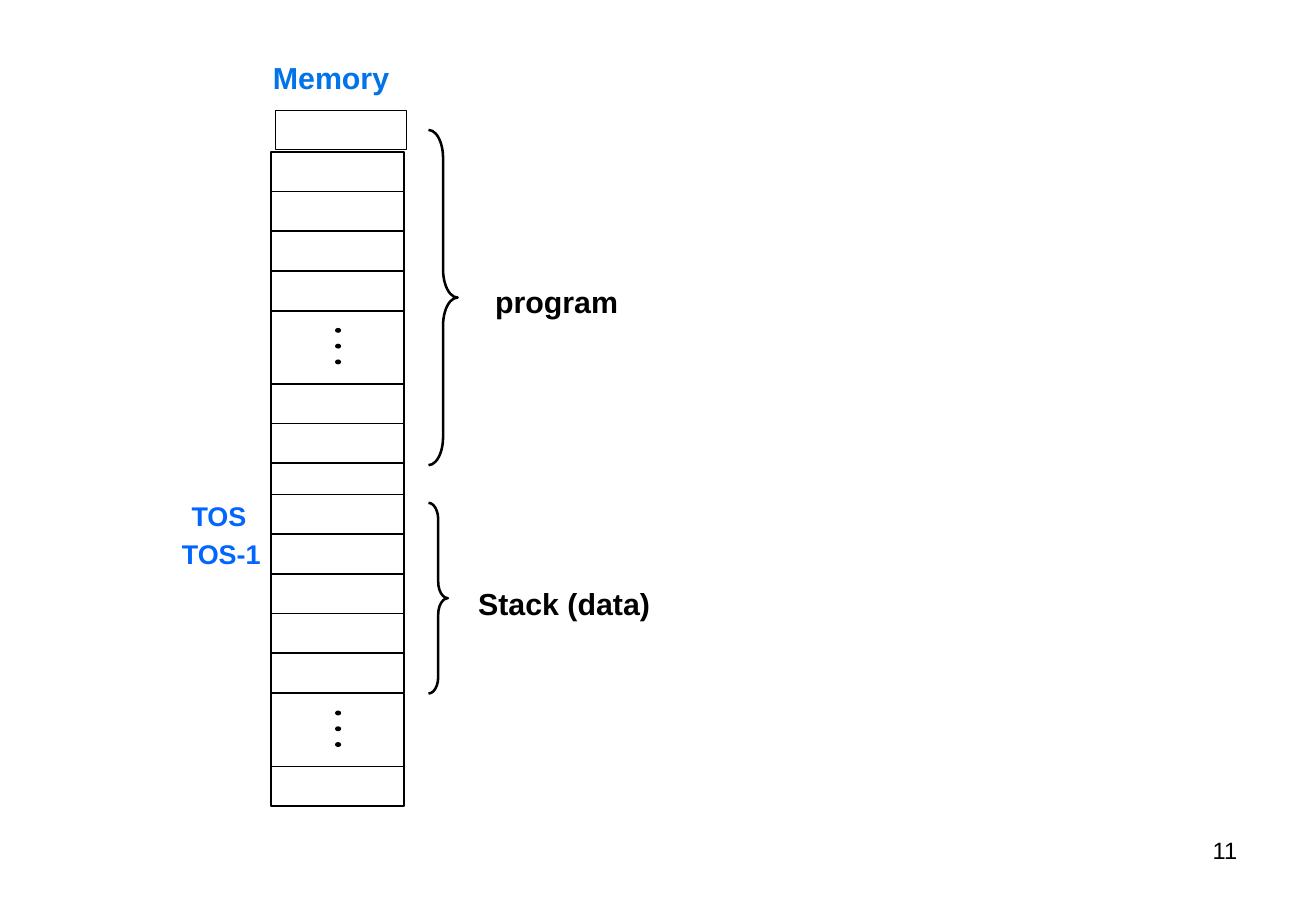
import pptx
import pptx.util
import pptx.dml.color
import pptx.enum.shapes
import pptx.enum.text

Inches = pptx.util.Inches
Shapes = pptx.enum.shapes.MSO_SHAPE
Align = pptx.enum.text.PP_ALIGN
BLACK = pptx.dml.color.RGBColor(0x00, 0x00, 0x00)
WHITE = pptx.dml.color.RGBColor(0xFF, 0xFF, 0xFF)
TITLE_BLUE = pptx.dml.color.RGBColor(0x00, 0x74, 0xE8)
TOS_BLUE = pptx.dml.color.RGBColor(0x00, 0x66, 0xFF)

presentation = pptx.Presentation()
presentation.slide_width = Inches(10.84)
presentation.slide_height = Inches(7.5)
slide = presentation.slides.add_slide(presentation.slide_layouts[6])


def add_shape(kind, left, top, width, height, fill=None, line_width=None):
    """Add a shadowless shape with an optional fill and black outline."""
    shape = slide.shapes.add_shape(
        kind, Inches(left), Inches(top), Inches(width), Inches(height))
    shape.shadow.inherit = False
    if fill is None:
        shape.fill.background()
    else:
        shape.fill.solid()
        shape.fill.fore_color.rgb = fill
    if line_width is None:
        shape.line.fill.background()
    else:
        shape.line.color.rgb = BLACK
        shape.line.width = pptx.util.Pt(line_width)
    return shape


def add_label(text, left, top, width, height, size, color, bold=True, align=Align.LEFT):
    box = slide.shapes.add_textbox(
        Inches(left), Inches(top), Inches(width), Inches(height))
    box.text_frame.word_wrap = not bold
    paragraph = box.text_frame.paragraphs[0]
    paragraph.text = text
    paragraph.alignment = align
    paragraph.font.name = "Arial"
    paragraph.font.size = pptx.util.Pt(size)
    paragraph.font.bold = bold
    paragraph.font.color.rgb = color


# Memory column: the first cell sits slightly to the right of the others
add_shape(Shapes.RECTANGLE, 2.27, 0.91, 1.08, 0.32, WHITE, 1)
CELL_LEFT, CELL_WIDTH, CELL_HEIGHT, GAP_HEIGHT = 2.23, 1.1, 0.327, 0.6
for block_top, cell_count in [(1.25, 4), (3.16, 3), (4.07, 5), (6.31, 1)]:
    for row in range(cell_count):
        add_shape(Shapes.RECTANGLE, CELL_LEFT, block_top + row * CELL_HEIGHT,
                  CELL_WIDTH, CELL_HEIGHT, WHITE, 1)

# Elided cells, each with three vertical dots
for gap_top in (2.56, 5.71):
    add_shape(Shapes.RECTANGLE, CELL_LEFT, gap_top, CELL_WIDTH, GAP_HEIGHT, WHITE, 1)
    for dot in range(3):
        add_shape(Shapes.OVAL, 2.76, gap_top + 0.14 + dot * 0.13, 0.05, 0.04, BLACK)

# Braces for the program and stack regions
for top, width, height, curve in [(1.07, 0.24, 2.76, 0.96), (4.14, 0.16, 1.57, 0.85)]:
    brace = add_shape(Shapes.RIGHT_BRACE, 3.53, top, width, height, line_width=1.5)
    brace.adjustments[0] = curve

add_label("Memory", 2.15, 0.44, 1.17, 0.4, 18, TITLE_BLUE)
add_label("program", 3.98, 2.28, 1.22, 0.4, 18, BLACK)
add_label("Stack (data)", 3.84, 4.77, 1.62, 0.4, 18, BLACK)
add_label("TOS", 1.48, 4.06, 0.66, 0.37, 16, TOS_BLUE)
add_label("TOS-1", 1.4, 4.38, 0.86, 0.37, 16, TOS_BLUE)
add_label("11", 7.76, 6.83, 2.53, 0.52, 14, BLACK, bold=False, align=Align.RIGHT)

presentation.save("out.pptx")
